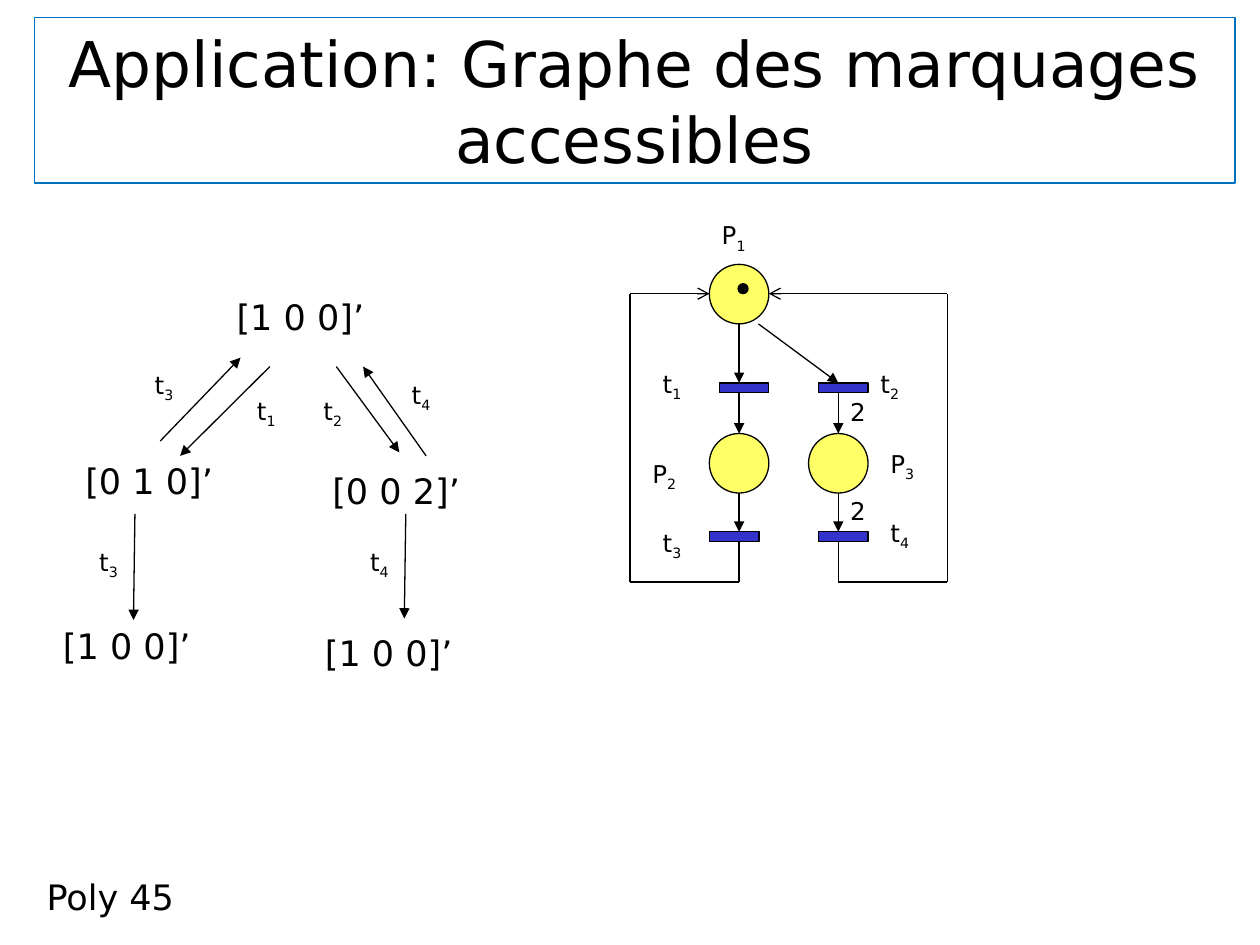
from lxml import etree
from pptx import Presentation
from pptx.dml.color import RGBColor
from pptx.enum.shapes import MSO_CONNECTOR, MSO_SHAPE
from pptx.enum.text import MSO_ANCHOR, PP_ALIGN
from pptx.oxml.ns import qn
from pptx.util import Cm, Pt

OVAL, RECT = MSO_SHAPE.OVAL, MSO_SHAPE.RECTANGLE
STRAIGHT = MSO_CONNECTOR.STRAIGHT
MIDDLE, TOP = MSO_ANCHOR.MIDDLE, MSO_ANCHOR.TOP
CENTER = PP_ALIGN.CENTER

BLACK = RGBColor(0x00, 0x00, 0x00)
YELLOW = RGBColor(0xFF, 0xFF, 0x66)
BLUE = RGBColor(0x33, 0x33, 0xCC)
FRAME = RGBColor(0x00, 0x70, 0xC0)
FONT = "DejaVu Sans"
THIN = Pt(0.75)

# Petri net grid, in cm
COL1, COL2 = 14.9, 16.9
LEFT, RIGHT = 12.7, 19.1
PLACE, BAR, THICK = 1.2, 1.0, 0.2
ROW1, ROW2 = 5.33, 8.74
BAR1, BAR2 = 7.72, 10.72
BACK, BASE = 5.92, 11.73


def add_text(slide, x, y, w, h, text, size, sub=""):
    box = slide.shapes.add_textbox(Cm(x), Cm(y), Cm(w), Cm(h))
    frame = box.text_frame
    frame.word_wrap = True
    frame.vertical_anchor = TOP
    para = frame.paragraphs[0]
    para.font.name = FONT
    para.font.size = Pt(size)
    para.font.color.rgb = BLACK
    para.add_run().text = text
    if sub:
        run = para.add_run()
        run.text = sub
        run.font._element.set("baseline", "-25000")


def add_label(slide, x, y, name, w=1.0):
    add_text(slide, x, y, w, 0.84, name[0], 14, name[1:])


def add_state(slide, x, y, text):
    add_text(slide, x, y, 6.6, 1.09, text, 20)


def add_solid(slide, kind, x, y, w, h, color):
    shape = slide.shapes.add_shape(kind, Cm(x), Cm(y), Cm(w), Cm(h))
    shape.shadow.inherit = False
    shape.fill.solid()
    shape.fill.fore_color.rgb = color
    shape.line.color.rgb = BLACK
    shape.line.width = THIN


def add_line(slide, x1, y1, x2, y2, head=None):
    line = slide.shapes.add_connector(STRAIGHT, Cm(x1), Cm(y1), Cm(x2), Cm(y2))
    line.line.color.rgb = BLACK
    line.line.width = THIN
    if head:
        etree.SubElement(line.line._get_or_add_ln(), qn("a:tailEnd"), type=head)
    etree.SubElement(line._element.spPr, qn("a:effectLst"))


def add_title(slide, text):
    box = slide.shapes.add_shape(RECT, Cm(0.69), Cm(0.36), Cm(24.21), Cm(3.33))
    box.shadow.inherit = False
    box.fill.background()
    box.line.color.rgb = FRAME
    box.line.width = THIN
    frame = box.text_frame
    frame.word_wrap = True
    frame.vertical_anchor = MIDDLE
    para = frame.paragraphs[0]
    para.text = text
    para.alignment = CENTER
    para.font.name = FONT
    para.font.size = Pt(36)
    para.font.color.rgb = BLACK


def add_net(slide):
    # Places and token
    for x, y in ((COL1, ROW1), (COL1, ROW2), (COL2, ROW2)):
        add_solid(slide, OVAL, x - PLACE / 2, y, PLACE, PLACE, YELLOW)
    add_solid(slide, OVAL, 14.88, 5.72, 0.2, 0.2, BLACK)

    # Transitions
    for x, y in ((14.5, BAR1), (16.5, BAR1), (14.3, BAR2), (16.5, BAR2)):
        add_solid(slide, RECT, x, y, BAR, THICK, BLUE)

    # Arcs going down
    add_line(slide, COL1, ROW1 + PLACE, COL1, BAR1, "triangle")
    add_line(slide, 15.29, ROW1 + PLACE, COL2, BAR1, "triangle")
    for x in (COL1, COL2):
        add_line(slide, x, BAR1 + THICK, x, ROW2, "triangle")
        add_line(slide, x, ROW2 + PLACE, x, BAR2, "triangle")

    # Return loops to the first place
    for x, side, end in ((COL1, LEFT, COL1 - PLACE / 2),
                         (COL2, RIGHT, COL1 + PLACE / 2)):
        add_line(slide, x, BAR2 + THICK, x, BASE)
        add_line(slide, x, BASE, side, BASE)
        add_line(slide, side, BASE, side, BACK)
        add_line(slide, side, BACK, end, BACK, "arrow")

    # Names and weights
    for x, y, name in ((14.3, 4.32, "P1"), (12.9, 9.12, "P2"), (17.7, 8.92, "P3")):
        add_label(slide, x, y, name, 1.6)
    for x, y, name in ((13.11, 7.32, "t1"), (17.5, 7.32, "t2"),
                       (13.11, 10.52, "t3"), (17.7, 10.31, "t4"),
                       (16.89, 7.87, "2"), (16.89, 9.88, "2")):
        add_label(slide, x, y, name)


def add_graph(slide):
    # Markings
    for x, y, text in ((4.52, 5.84, "[1 0 0]’"),
                       (1.47, 9.14, "[0 1 0]’"), (6.45, 9.35, "[0 0 2]’"),
                       (1.02, 12.47, "[1 0 0]’"), (6.3, 12.6, "[1 0 0]’")):
        add_state(slide, x, y, text)

    # Firings
    for ends in ((5.44, 7.39, 3.63, 9.19), (3.23, 8.89, 4.85, 7.21),
                 (6.78, 7.39, 8.05, 9.12), (8.59, 9.19, 7.32, 7.39),
                 (2.72, 10.36, 2.69, 12.5), (8.18, 10.36, 8.15, 12.47)):
        add_line(slide, *ends, "triangle")
    for x, y, name in ((4.93, 7.85, "t1"), (2.87, 7.34, "t3"),
                       (6.27, 7.85, "t2"), (1.75, 10.9, "t3"),
                       (7.21, 10.9, "t4")):
        add_label(slide, x, y, name)
    add_label(slide, 8.05, 7.54, "t4", 2.29)


def main():
    deck = Presentation()
    deck.slide_width, deck.slide_height = Cm(25.4), Cm(19.05)
    slide = deck.slides.add_slide(deck.slide_layouts[6])
    add_net(slide)
    add_text(slide, 0.69, 17.53, 3.61, 1.96, "Poly 45", 20)
    add_title(slide, "Application: Graphe des marquages accessibles")
    add_graph(slide)
    deck.save("out.pptx")


if __name__ == "__main__":
    main()
